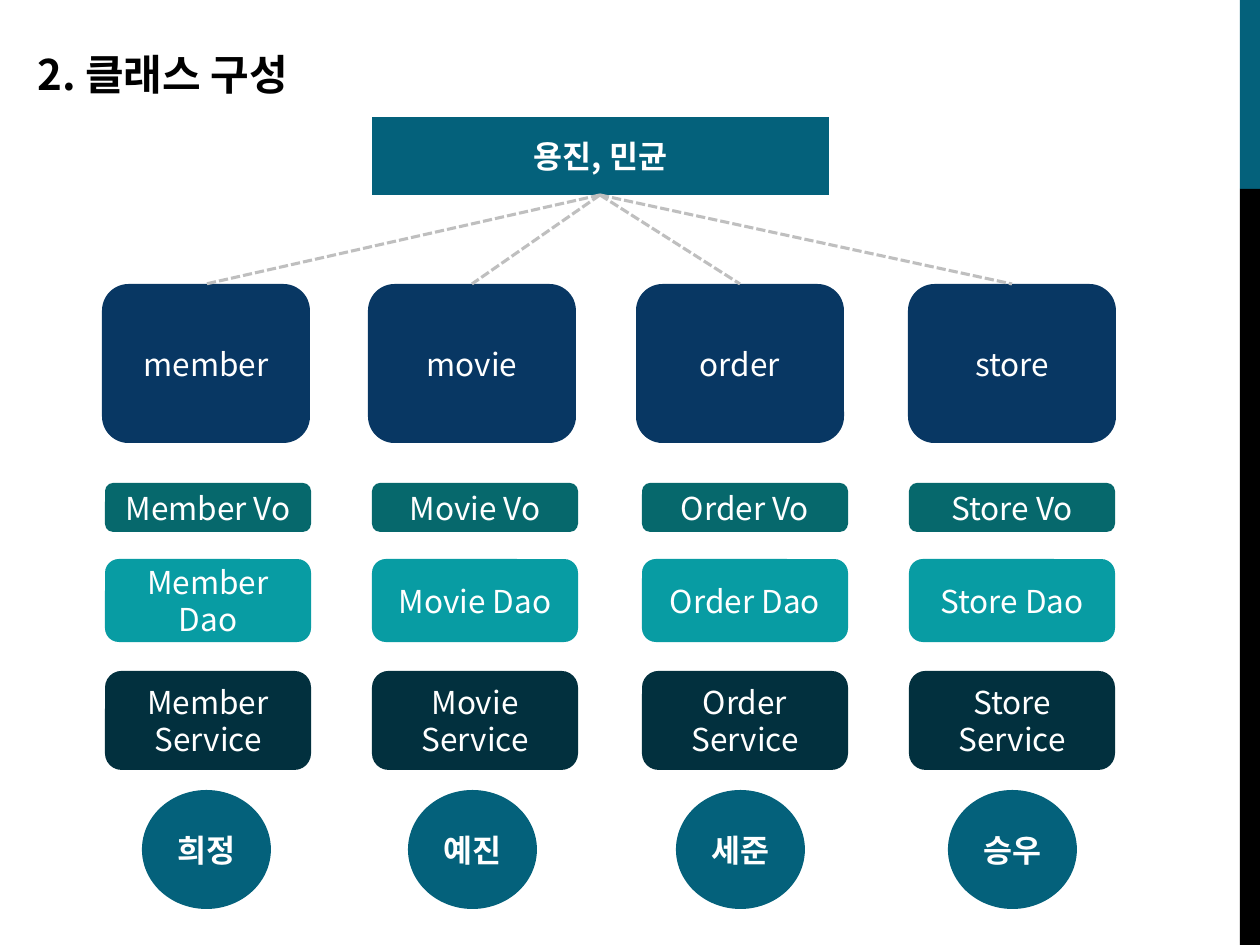
from lxml.etree import SubElement
from pptx import Presentation
from pptx.dml.color import RGBColor
from pptx.enum.dml import MSO_LINE
from pptx.enum.shapes import MSO_CONNECTOR, MSO_SHAPE
from pptx.enum.text import MSO_ANCHOR, MSO_AUTO_SIZE, PP_ALIGN
from pptx.oxml.ns import qn
from pptx.util import Pt

PX = 914400 // 126
FONT = "Noto Sans CJK KR"
WHITE = RGBColor(0xFF, 0xFF, 0xFF)
BLACK = RGBColor(0, 0, 0)
BLUE = RGBColor(0x04, 0x61, 0x7B)
NAVY = RGBColor(0x08, 0x37, 0x63)
GREEN = RGBColor(0x06, 0x68, 0x6C)
TEAL = RGBColor(0x08, 0x9C, 0xA3)
DARK = RGBColor(0x02, 0x30, 0x3E)
GRAY = RGBColor(0xBF, 0xBF, 0xBF)

# Content: package, class prefix, owner, package left, class left
TITLE = "2. 클래스 구성"
LEADERS = "용진, 민균"
COLUMNS = [
    ("member", "Member", "희정", 102, 105),
    ("movie", "Movie", "예진", 368, 372),
    ("order", "Order", "세준", 636, 642),
    ("store", "Store", "승우", 908, 909),
]
# Class rows: suffix, top, height, colour
CLASS_ROWS = [
    (" Vo", 483, 49, GREEN),
    (" Dao", 559, 83, TEAL),
    ("\nService", 671, 99, DARK),
]
PACKAGE_TOP, PACKAGE_WIDTH, PACKAGE_HEIGHT = 284, 208, 159
CLASS_WIDTH = 206
OWNER_TOP, OWNER_WIDTH, OWNER_HEIGHT = 790, 129, 119
LEADER_BOX = (372, 117, 457, 78)

presentation = Presentation()
presentation.slide_width = 1260 * PX
presentation.slide_height = 945 * PX
slide = presentation.slides.add_slide(presentation.slide_layouts[6])


def write(frame, text, size, color, bold, alignment):
    frame.text = text
    for paragraph in frame.paragraphs:
        paragraph.alignment = alignment
        font = paragraph.font
        font.size, font.bold, font.name = Pt(size), bold, FONT
        font.color.rgb = color
        properties = paragraph._p.pPr.find(qn("a:defRPr"))
        SubElement(properties, qn("a:ea"), typeface=FONT)


def add_box(kind, box, fill, text="", bold=False):
    shape = slide.shapes.add_shape(kind, *(value * PX for value in box))
    shape.shadow.inherit = False
    shape.fill.solid()
    shape.fill.fore_color.rgb = fill
    shape.line.fill.background()
    if text:
        frame = shape.text_frame
        frame.word_wrap = True
        frame.vertical_anchor = MSO_ANCHOR.MIDDLE
        write(frame, text, 18, WHITE, bold, PP_ALIGN.CENTER)


def add_dashed_line(*points):
    line = slide.shapes.add_connector(
        MSO_CONNECTOR.STRAIGHT, *(value * PX for value in points))
    line.line.color.rgb = GRAY
    line.line.width = Pt(1.75)
    line.line.dash_style = MSO_LINE.SQUARE_DOT
    SubElement(line._element.spPr, qn("a:effectLst"))


# Side band
add_box(MSO_SHAPE.RECTANGLE, (1240, 0, 20, 189), BLUE)
add_box(MSO_SHAPE.RECTANGLE, (1240, 189, 20, 756), BLACK)

# Title
title = slide.shapes.add_textbox(25 * PX, 42 * PX, 304 * PX, 63 * PX)
title.text_frame.word_wrap = False
title.text_frame.auto_size = MSO_AUTO_SIZE.SHAPE_TO_FIT_TEXT
write(title.text_frame, TITLE, 24, BLACK, True, PP_ALIGN.LEFT)

# Leaders
add_box(MSO_SHAPE.FLOWCHART_PROCESS, LEADER_BOX, BLUE, LEADERS, True)
left, top, width, height = LEADER_BOX
root_x, root_y = left + width // 2, top + height

# One column per package: package, classes, owner, link to the leaders
for package, prefix, owner, package_left, class_left in COLUMNS:
    center = package_left + PACKAGE_WIDTH // 2
    add_box(MSO_SHAPE.ROUNDED_RECTANGLE,
            (package_left, PACKAGE_TOP, PACKAGE_WIDTH, PACKAGE_HEIGHT), NAVY, package)
    for suffix, row_top, row_height, color in CLASS_ROWS:
        add_box(MSO_SHAPE.ROUNDED_RECTANGLE,
                (class_left, row_top, CLASS_WIDTH, row_height), color, prefix + suffix)
    add_box(MSO_SHAPE.OVAL,
            (center - OWNER_WIDTH // 2, OWNER_TOP, OWNER_WIDTH, OWNER_HEIGHT),
            BLUE, owner, True)
    add_dashed_line(root_x, root_y, center, PACKAGE_TOP)

presentation.save("out.pptx")
